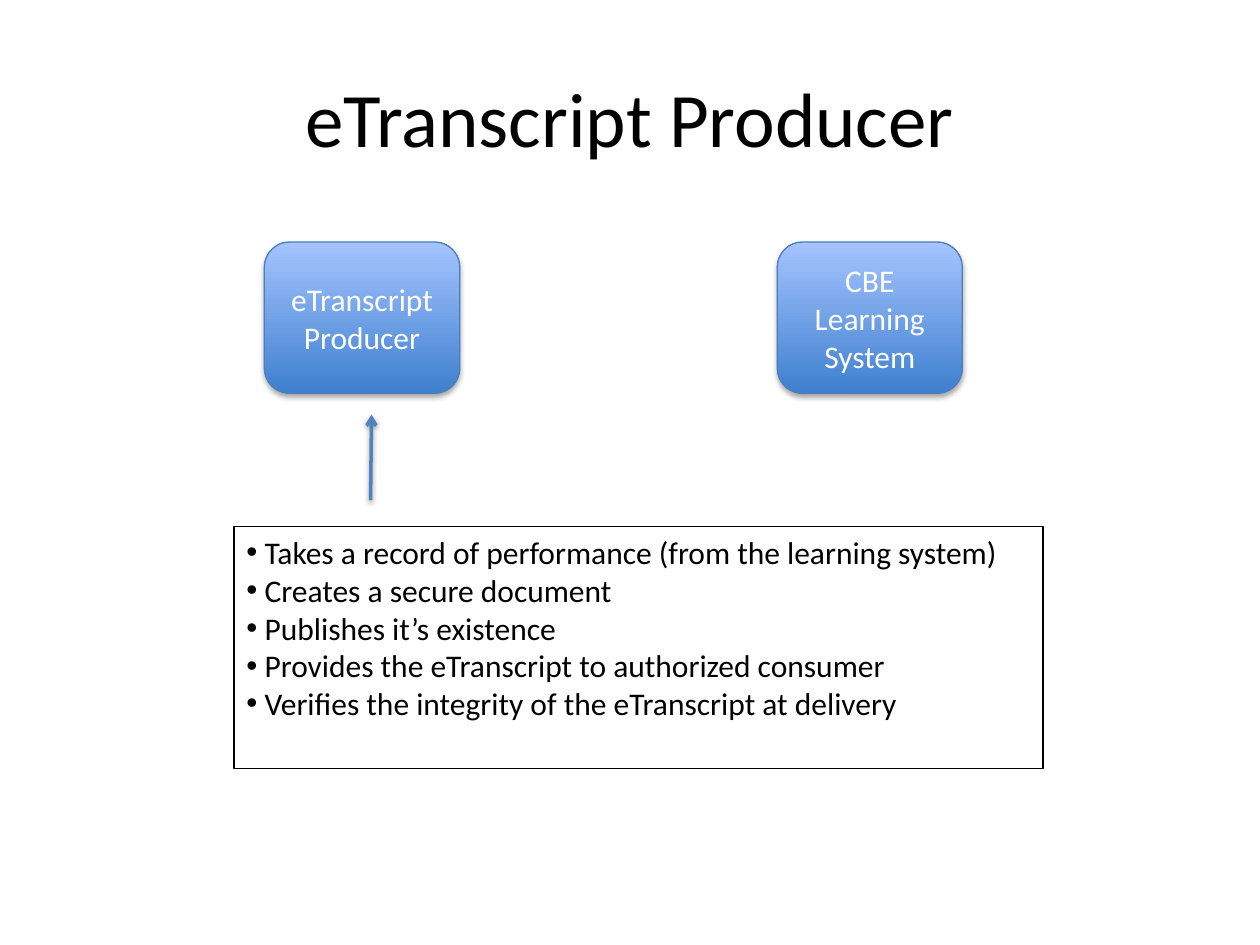
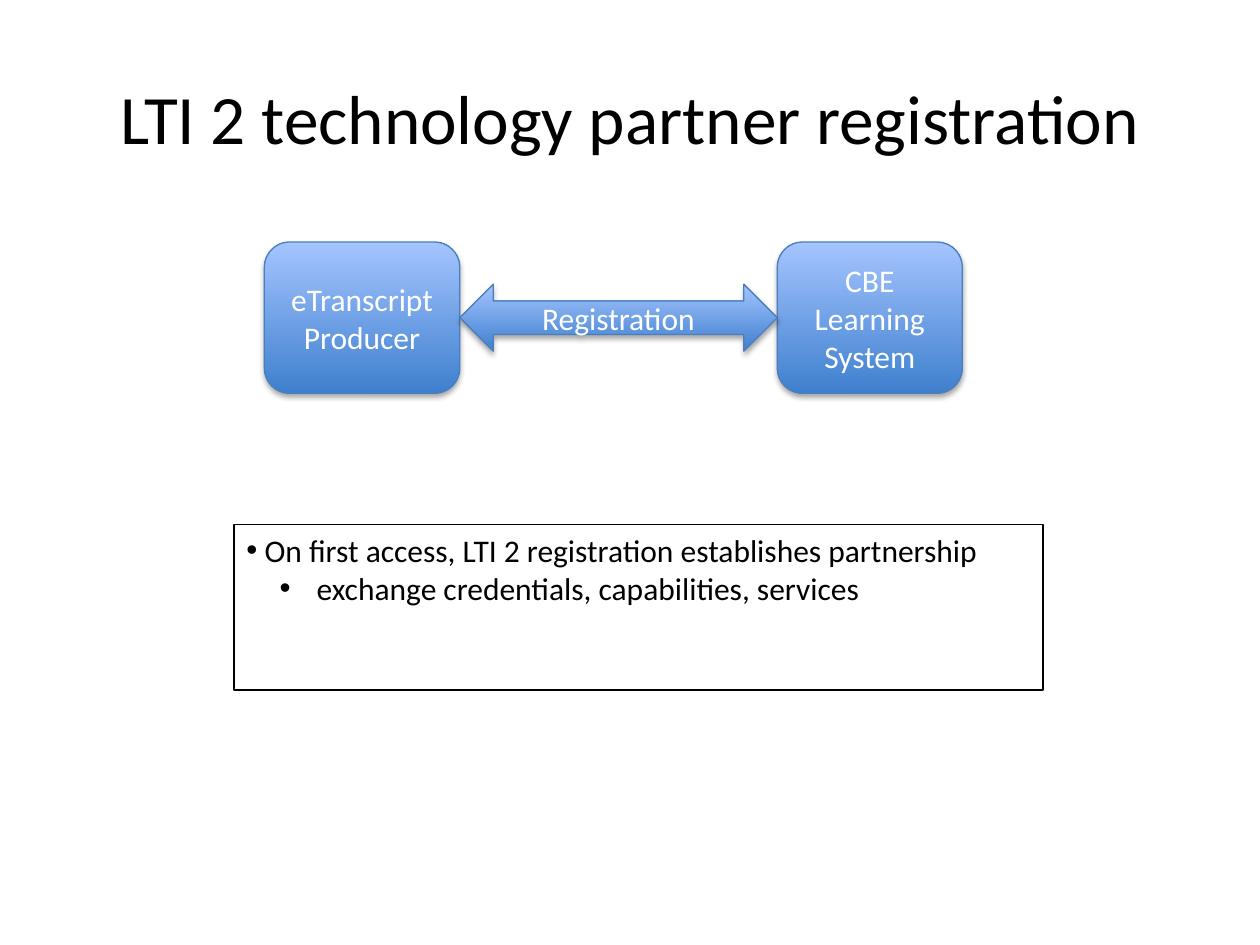
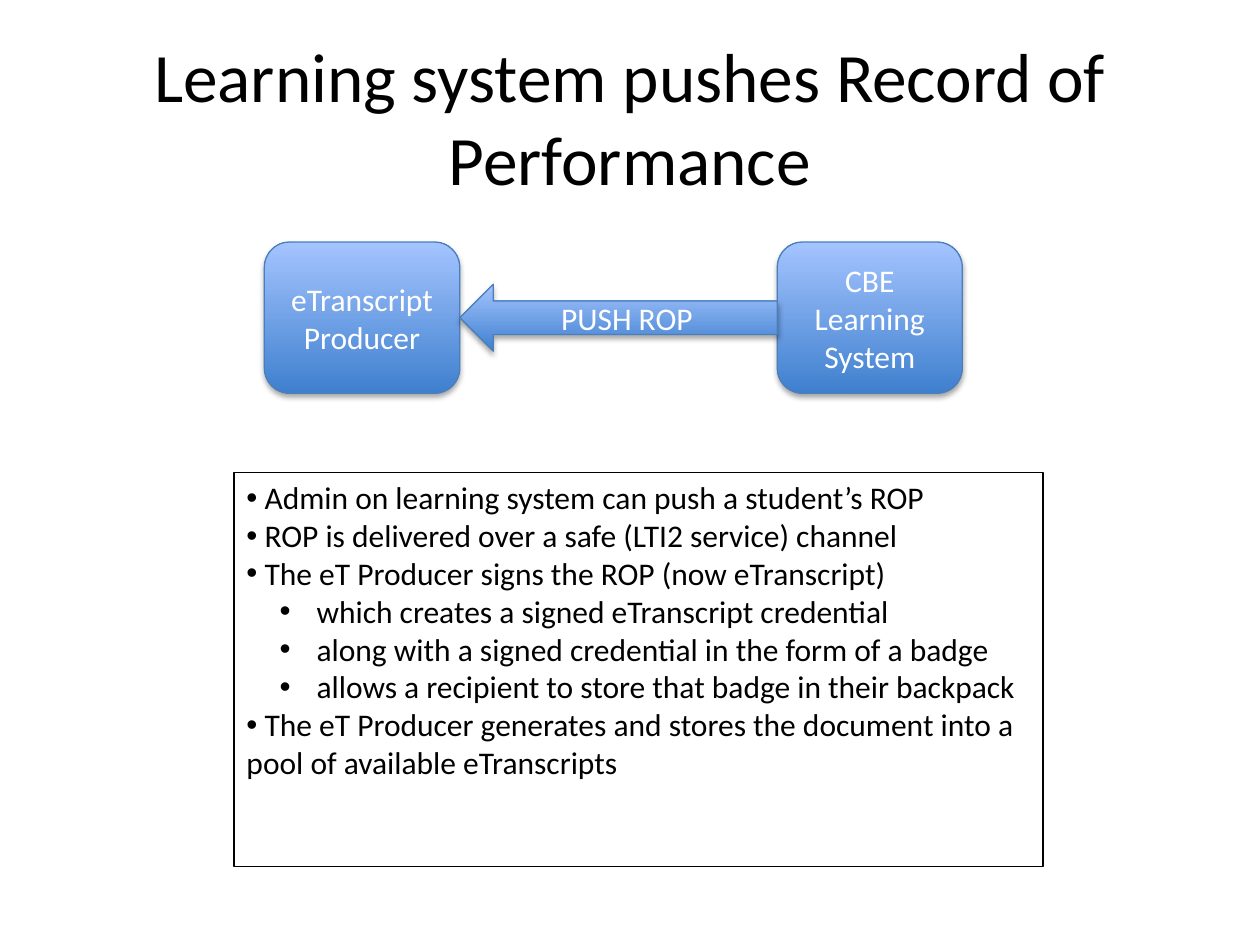
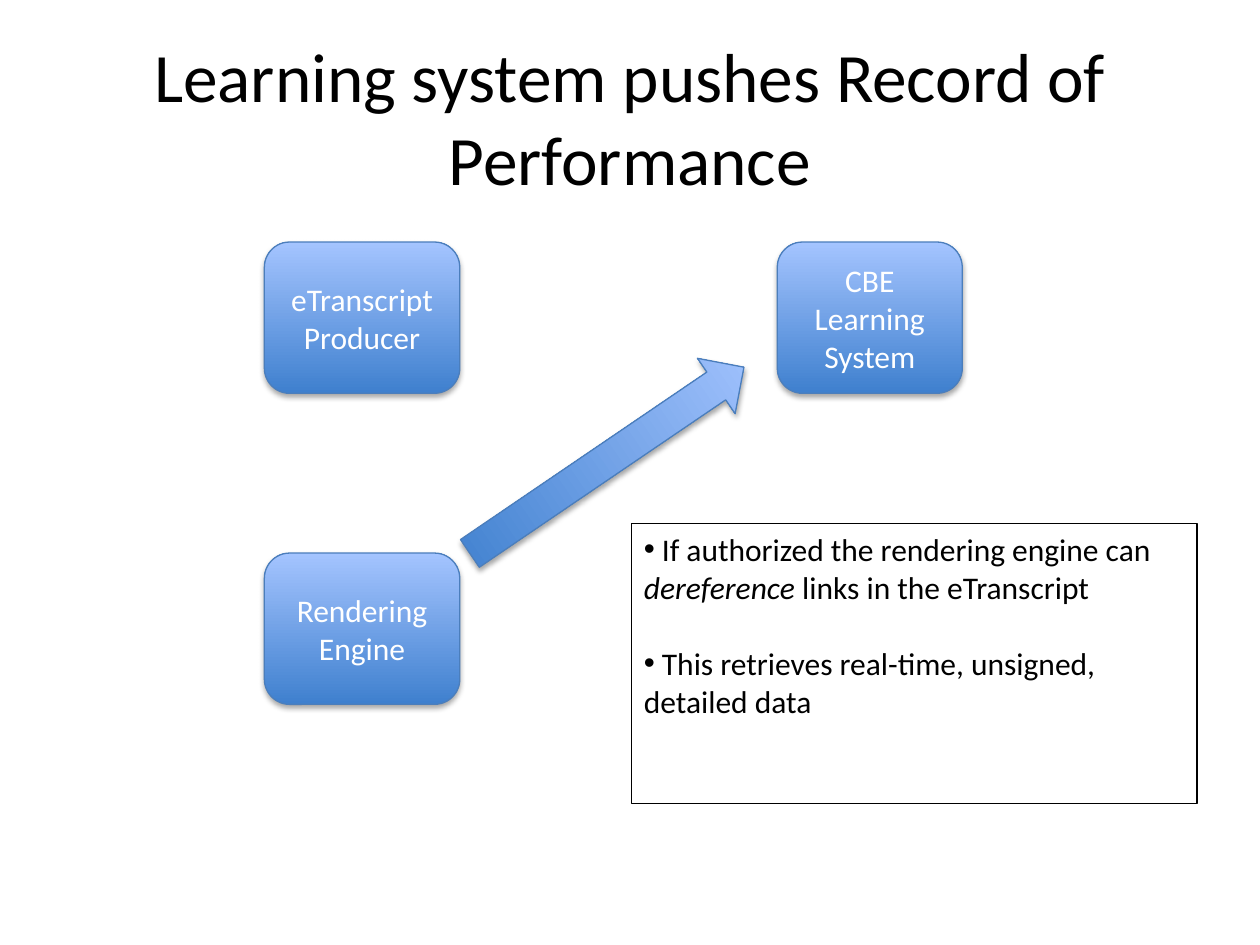
import pptx
import pptx.util
import pptx.dml.color
import pptx.enum.shapes
import pptx.enum.text
import pptx.oxml
import pptx.oxml.ns

Cm = pptx.util.Cm
Pt = pptx.util.Pt
RGBColor = pptx.dml.color.RGBColor
SHAPE = pptx.enum.shapes.MSO_SHAPE
ALIGN = pptx.enum.text.PP_ALIGN
ANCHOR = pptx.enum.text.MSO_ANCHOR
qn = pptx.oxml.ns.qn

# Shared style
FONT = "Calibri"
BODY_SIZE = 18
TITLE_SIZE = 44
LONG_TITLE_SIZE = 39.6
BLACK = RGBColor(0x00, 0x00, 0x00)
WHITE = RGBColor(0xFF, 0xFF, 0xFF)
BLUE_DARK = RGBColor(0x3F, 0x80, 0xCE)
BLUE_LIGHT = RGBColor(0xA4, 0xC4, 0xFF)
BLUE_EDGE = RGBColor(0x4B, 0x7E, 0xBC)
BLUE_LINE = RGBColor(0x4F, 0x81, 0xBD)

# Shared layout, in centimetres
BOX_TOP, BOX_HEIGHT = 4.88, 3.05
PRODUCER_LEFT, PRODUCER_WIDTH = 5.33, 3.94
SYSTEM_LEFT, SYSTEM_WIDTH = 15.67, 3.73
ENGINE_TOP = 11.15
ARROW_THICKNESS = 1.35
NOTES_LEFT, NOTES_WIDTH = 4.72, 16.31
SUB_MARGIN, SUB_HANG = 1.27, 0.6


def add_page(deck, title, size=LONG_TITLE_SIZE):
    """Add a blank page with its centred title."""
    page = deck.slides.add_slide(deck.slide_layouts[6])
    box = page.shapes.add_textbox(Cm(1.27), Cm(0.76), Cm(22.86), Cm(3.18))
    box.text_frame.word_wrap = True
    box.text_frame.vertical_anchor = ANCHOR.MIDDLE
    para = box.text_frame.paragraphs[0]
    para.text = title
    para.alignment = ALIGN.CENTER
    set_font(para, size, BLACK)
    return page


def set_font(para, size, color):
    para.font.name = FONT
    para.font.size = Pt(size)
    para.font.color.rgb = color


def paragraphs_for(frame, items):
    """Pair each item with its own paragraph of the frame."""
    for index, item in enumerate(items):
        yield (frame.add_paragraph() if index else frame.paragraphs[0]), item


def add_shadow(properties, distance, opacity):
    """Give shape properties a soft shadow that falls straight down."""
    effects = properties.find(qn("a:effectLst"))
    if effects is None:
        effects = pptx.oxml.parse_xml(
            f"<a:effectLst {pptx.oxml.ns.nsdecls('a')}/>")
        properties.append(effects)
    effects.append(pptx.oxml.parse_xml(
        f'<a:outerShdw {pptx.oxml.ns.nsdecls("a")} blurRad="{Pt(3.15)}" '
        f'dist="{Pt(distance)}" dir="5400000" rotWithShape="0">'
        f'<a:srgbClr val="{BLACK}"><a:alpha val="{opacity * 1000}"/>'
        '</a:srgbClr></a:outerShdw>'))


def add_blue_shape(page, kind, left, top, width, height, lines=()):
    """Add a shaded blue shape with centred white text."""
    shape = page.shapes.add_shape(kind, Cm(left), Cm(top), Cm(width), Cm(height))
    shape.fill.gradient()
    shape.fill.gradient_angle = 90
    for stop, color in zip(shape.fill.gradient_stops, (BLUE_DARK, BLUE_LIGHT)):
        stop.color.rgb = color
    shape.line.color.rgb = BLUE_EDGE
    shape.line.width = Pt(0.75)
    shape.shadow.inherit = False
    add_shadow(shape.element.spPr, 1.8, 35)
    shape.text_frame.vertical_anchor = ANCHOR.MIDDLE
    for para, line in paragraphs_for(shape.text_frame, lines):
        para.text = line
        para.alignment = ALIGN.CENTER
        set_font(para, BODY_SIZE, WHITE)
    return shape


def add_systems(page):
    """Add the two partner boxes found on every page."""
    add_blue_shape(page, SHAPE.ROUNDED_RECTANGLE, SYSTEM_LEFT, BOX_TOP,
                   SYSTEM_WIDTH, BOX_HEIGHT, ["CBE", "Learning System"])
    add_blue_shape(page, SHAPE.ROUNDED_RECTANGLE, PRODUCER_LEFT, BOX_TOP,
                   PRODUCER_WIDTH, BOX_HEIGHT, ["eTranscript", "Producer"])


def add_exchange(page, kind, label):
    """Add a block arrow that spans the gap between the partner boxes."""
    left = PRODUCER_LEFT + PRODUCER_WIDTH
    top = BOX_TOP + (BOX_HEIGHT - ARROW_THICKNESS) / 2
    add_blue_shape(page, kind, left, top, SYSTEM_LEFT - left,
                   ARROW_THICKNESS, [label])


def add_bullet(para, level):
    para.level = level
    properties = para._p.get_or_add_pPr()
    properties.set("marL", str(Cm(SUB_MARGIN * level)))
    properties.set("indent", str(Cm(-SUB_HANG * level)))
    for tag, name, value in (("a:buFont", "typeface", "Arial"),
                             ("a:buChar", "char", "•")):
        child = properties.makeelement(qn(tag), {name: value})
        properties.append(child)


def add_notes_box(page, top, height, notes, left=NOTES_LEFT,
                  width=NOTES_WIDTH, gap=0):
    """Add an outlined list; each note is (level, text, ...), odd texts italic."""
    box = page.shapes.add_textbox(Cm(left), Cm(top), Cm(width), Cm(height))
    box.line.color.rgb = BLACK
    box.line.width = Pt(0.75)
    box.text_frame.word_wrap = True
    for para, (level, *texts) in paragraphs_for(box.text_frame, notes):
        add_bullet(para, level)
        set_font(para, BODY_SIZE, BLACK)
        if gap and (level, *texts) != notes[0]:
            para.space_before = Pt(gap)
        # Wrapped lines return to the margin, so one space follows the bullet
        for index, text in enumerate(texts):
            span = para.add_run()
            span.text = text if index else " " + text
            if index % 2:
                span.font.italic = True


def add_pointer(page, start, end):
    """Add a thin arrow from start to end."""
    line = page.shapes.add_connector(
        pptx.enum.shapes.MSO_CONNECTOR.STRAIGHT,
        *(Cm(value) for value in start + end))
    line.line.color.rgb = BLUE_LINE
    line.line.width = Pt(2)
    stroke = line.line._get_or_add_ln()
    stroke.append(stroke.makeelement(qn("a:tailEnd"), {"type": "arrow"}))
    add_shadow(line.element.spPr, 1.6, 38)


def main():
    deck = pptx.Presentation()
    deck.slide_width, deck.slide_height = Cm(25.4), Cm(19.05)

    # Role of the producer
    page = add_page(deck, "eTranscript Producer", TITLE_SIZE)
    add_systems(page)
    add_notes_box(page, 10.62, 4.88, [
        (0, "Takes a record of performance (from the learning system)"),
        (0, "Creates a secure document"),
        (0, "Publishes it’s existence"),
        (0, "Provides the eTranscript to authorized consumer"),
        (0, "Verifies the integrity of the eTranscript at delivery"),
    ])
    add_pointer(page, (7.47, 10.08), (7.49, 8.36))

    # Registration
    page = add_page(deck, "LTI 2 technology partner registration")
    add_systems(page)
    add_notes_box(page, 10.58, 3.33, [
        (0, "On first access, LTI 2 registration establishes partnership"),
        (1, "exchange credentials, capabilities, services"),
    ])
    add_exchange(page, SHAPE.LEFT_RIGHT_ARROW, "Registration")

    # Push of the record
    page = add_page(deck, "Learning system pushes Record of Performance")
    add_systems(page)
    add_notes_box(page, 9.52, 7.95, [
        (0, "Admin on learning system can push a student’s ROP"),
        (0, "ROP is delivered over a safe (LTI2 service) channel"),
        (0, "The eT Producer signs the ROP (now eTranscript)"),
        (1, "which creates a signed eTranscript credential"),
        (1, "along with a signed credential in the form of a badge"),
        (1, "allows a recipient to store that badge in their backpack"),
        (0, "The eT Producer generates and stores the document into a "
            "pool of available eTranscripts"),
    ])
    add_exchange(page, SHAPE.LEFT_ARROW, "PUSH ROP")

    # Rendering engine follows links
    page = add_page(deck, "Learning system pushes Record of Performance")
    add_notes_box(page, 10.56, 5.64, [
        (0, "If authorized the rendering engine can ", "dereference",
         " links in the eTranscript"),
        (0, "This retrieves real-time, unsigned, detailed data"),
    ], left=12.73, width=11.4, gap=22)
    add_systems(page)
    add_blue_shape(page, SHAPE.ROUNDED_RECTANGLE, PRODUCER_LEFT, ENGINE_TOP,
                   PRODUCER_WIDTH, BOX_HEIGHT, ["Rendering Engine"])
    link = add_blue_shape(page, SHAPE.UP_ARROW, 11.56, 5.94,
                          ARROW_THICKNESS, 6.68)
    link.rotation = 55.8

    deck.save("out.pptx")


if __name__ == "__main__":
    main()
